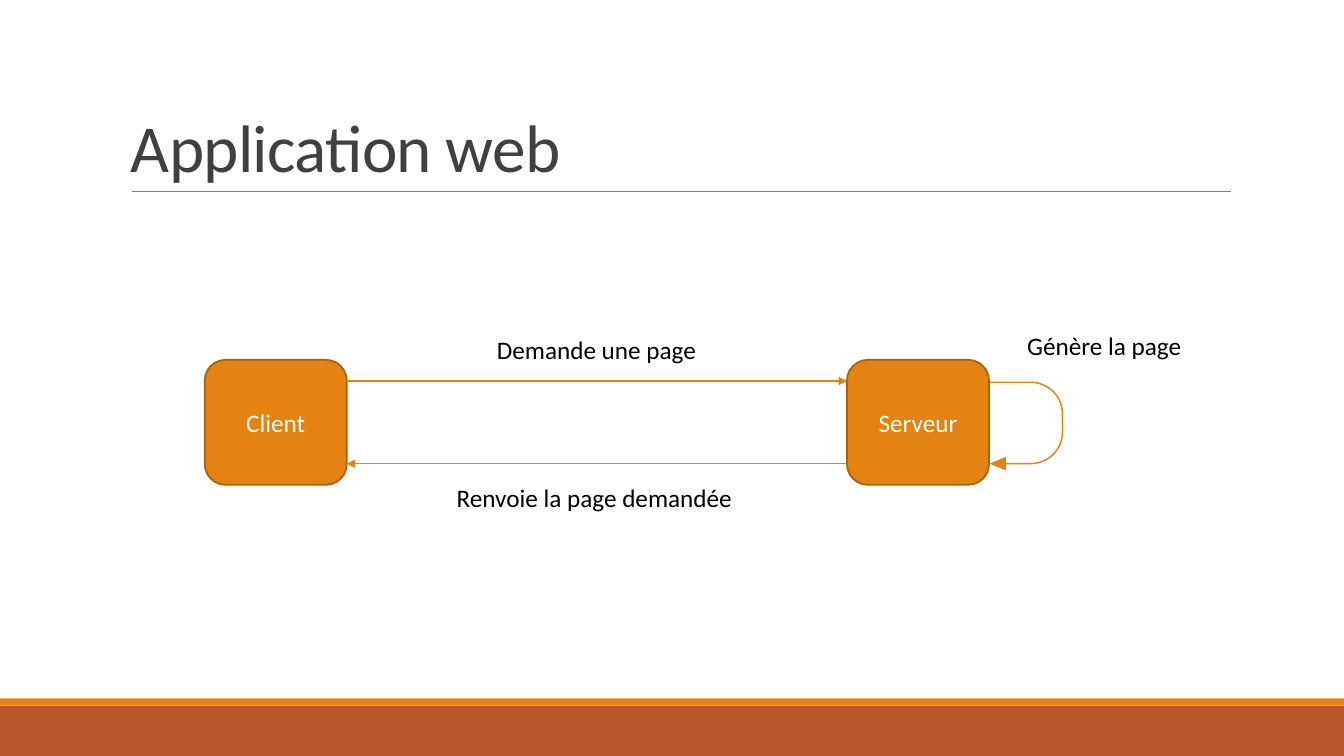
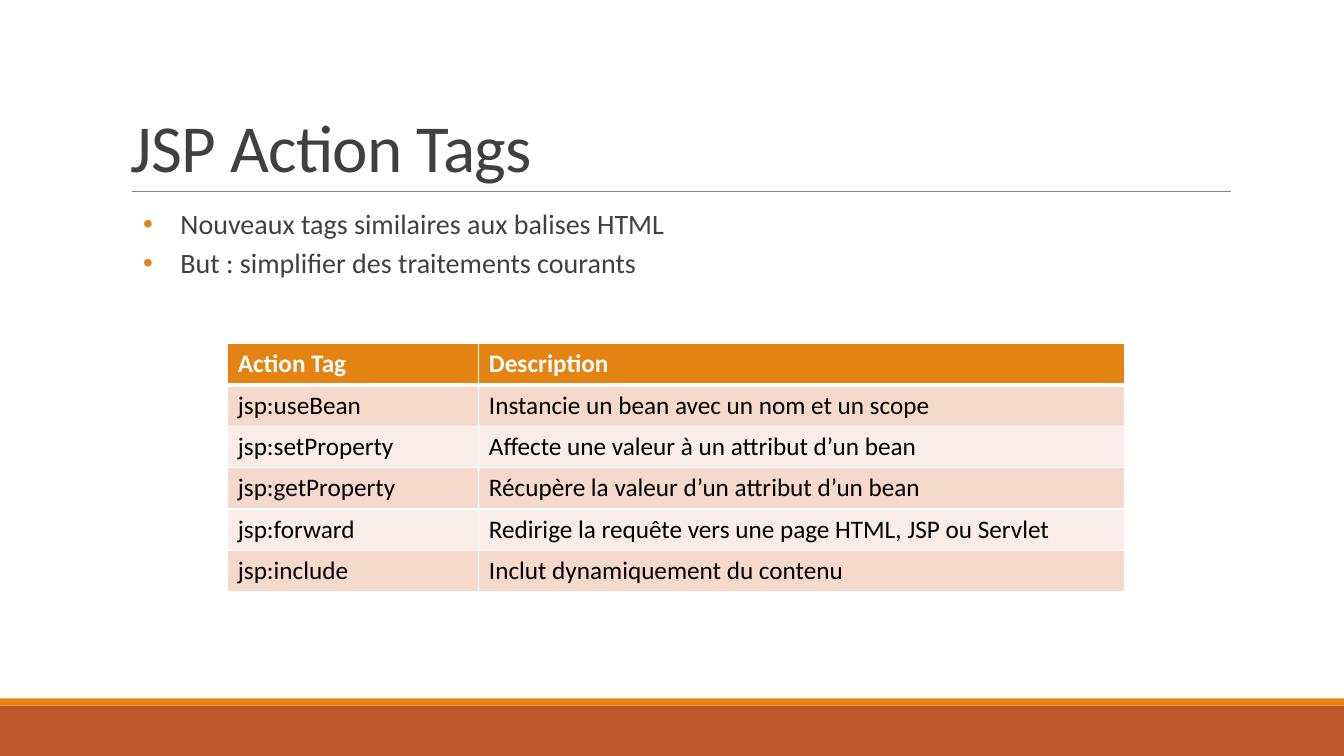
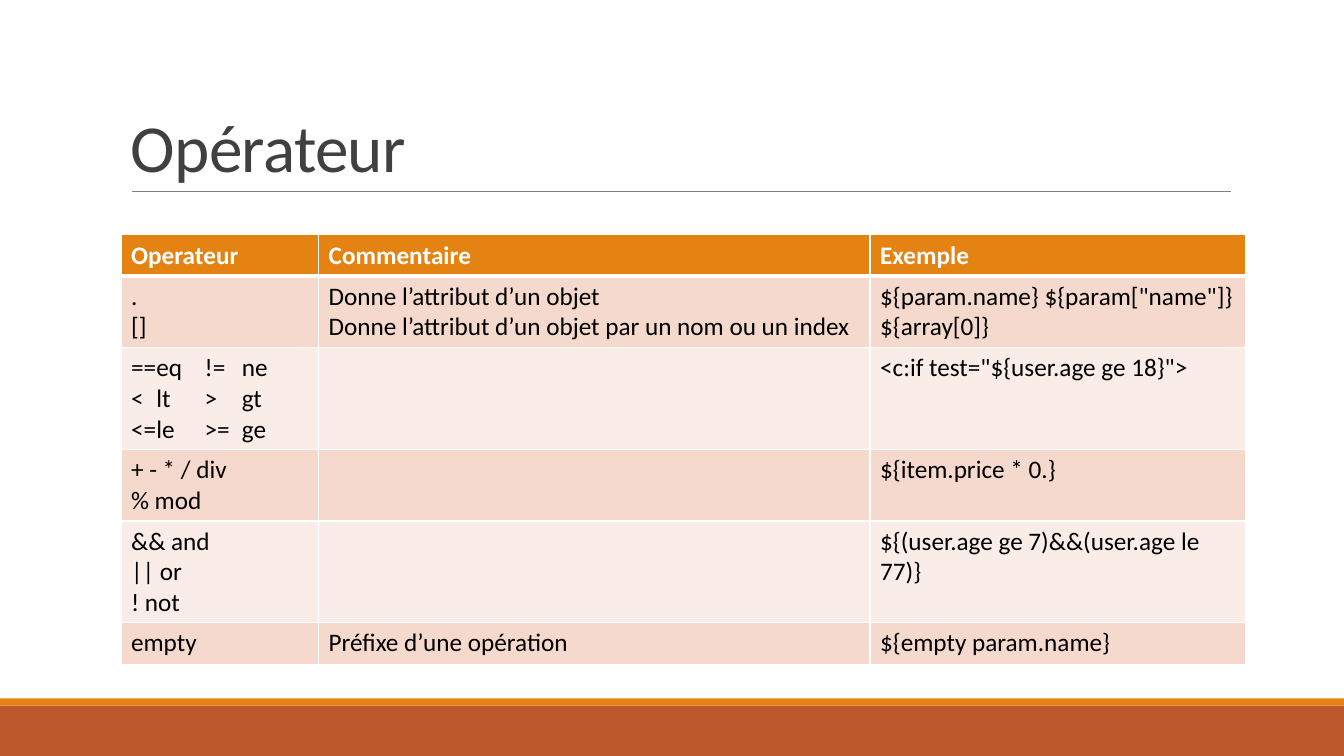
from dataclasses import dataclass

from lxml.etree import SubElement
from pptx import Presentation
from pptx.dml.color import RGBColor
from pptx.enum.shapes import MSO_CONNECTOR as Connector, MSO_SHAPE as Shape
from pptx.enum.text import MSO_ANCHOR as Anchor, PP_ALIGN as Align
from pptx.oxml.ns import qn
from pptx.util import Inches, Pt


@dataclass(frozen=True)
class Theme:
    """Colours, type sizes and font of the presentation."""
    font: str = "Calibri"
    orange: str = "E48312"
    orange_edge: str = "A9610D"
    rust: str = "BD582C"
    rule: str = "808080"
    grey: str = "404040"
    black: str = "000000"
    white: str = "FFFFFF"
    stripes: tuple = ("F5D9CC", "FAEDE7")
    title_size: int = 48
    body_size: int = 20
    label_size: int = 18


THEME = Theme()
SLIDE_WIDTH, SLIDE_HEIGHT = 13.33, 7.5

ACTION_TAGS = [
    ["Action Tag", "Description"],
    ["jsp:useBean", "Instancie un bean avec un nom et un scope"],
    ["jsp:setProperty", "Affecte une valeur à un attribut d’un bean"],
    ["jsp:getProperty", "Récupère la valeur d’un attribut d’un bean"],
    ["jsp:forward", "Redirige la requête vers une page HTML, JSP ou Servlet"],
    ["jsp:include", "Inclut dynamiquement du contenu"],
]

OPERATORS = [
    ["Operateur", "Commentaire", "Exemple"],
    [".\n[]",
     "Donne l’attribut d’un objet\nDonne l’attribut d’un objet par un nom ou un index",
     '${param.name} ${param["name"]} ${array[0]}'],
    ["==\teq\t!=\tne\n<\tlt\t>\tgt\n<=\tle\t>=\tge", "",
     '<c:if test="${user.age ge 18}">'],
    ["+ - * / div\n% mod", "", "${item.price * 0.}"],
    ["&& and\n|| or\n! not", "", "${(user.age ge 7)&&(user.age le 77)}"],
    ["empty", "Préfixe d’une opération", "${empty param.name}"],
]


def rgb(colour):
    """Turn a hex string into a colour."""
    return RGBColor.from_string(colour)


def add_bullet(paragraph, left, hang):
    """Give a paragraph an orange hanging bullet."""
    props = paragraph._p.get_or_add_pPr()
    props.set("marL", str(Inches(left)))
    props.set("indent", str(-Inches(hang)))
    colour = SubElement(props, qn("a:buClr"))
    SubElement(colour, qn("a:srgbClr"), val=THEME.orange)
    SubElement(props, qn("a:buFont"), typeface="Arial")
    SubElement(props, qn("a:buChar"), char="•")


def add_tabs(paragraph, stops):
    """Set the left tab stops of a paragraph."""
    tabs = SubElement(paragraph._p.get_or_add_pPr(), qn("a:tabLst"))
    for stop in stops:
        SubElement(tabs, qn("a:tab"), pos=str(Inches(stop)), algn="l")


def write(frame, text, *, size=THEME.label_size, colour=THEME.black, bold=False,
          align=Align.LEFT, leading=None, before=0, after=0, tracking=None,
          bullet=None, tabs=()):
    """Write the lines of a text as formatted paragraphs."""
    for index, line in enumerate(text.split("\n")):
        paragraph = frame.add_paragraph() if index else frame.paragraphs[0]
        if bullet:
            add_bullet(paragraph, *bullet)
        if "\t" in line:
            add_tabs(paragraph, tabs)
        paragraph.alignment = align
        if leading:
            paragraph.line_spacing = leading
        if before and index:
            paragraph.space_before = Pt(before)
        if after:
            paragraph.space_after = Pt(after)
        run = paragraph.add_run()
        run.text = line
        run.font.name = THEME.font
        run.font.size = Pt(size)
        run.font.bold = bold
        run.font.color.rgb = rgb(colour)
        if tracking:
            run._r.get_or_add_rPr().set("spc", str(int(tracking * 100)))


def add_text(slide, box, text, *, wrap=True, anchor=Anchor.TOP, inset=0.1, **style):
    """Add a text box."""
    frame = slide.shapes.add_textbox(*map(Inches, box)).text_frame
    frame.word_wrap = wrap
    frame.vertical_anchor = anchor
    frame.margin_left = frame.margin_right = Inches(inset)
    write(frame, text, **style)


def add_block(slide, kind, box, fill, edge=None):
    """Add a filled preset shape with an optional edge."""
    block = slide.shapes.add_shape(kind, *map(Inches, box))
    block.shadow.inherit = False
    block.fill.solid()
    block.fill.fore_color.rgb = rgb(fill)
    if edge:
        block.line.color.rgb = rgb(edge)
        block.line.width = Pt(1.25)
    else:
        block.line.fill.background()
    return block


def add_line(slide, start, end, colour, width, arrow=False):
    """Add a straight line, with an arrowhead at its end if asked."""
    line = slide.shapes.add_connector(
        Connector.STRAIGHT, *map(Inches, (*start, *end)))
    line.line.color.rgb = rgb(colour)
    line.line.width = Pt(width)
    if arrow:
        SubElement(line.line._get_or_add_ln(), qn("a:tailEnd"), type="triangle")
    SubElement(line._element.spPr, qn("a:effectLst"))


def add_titled_slide(deck, title):
    """Add a slide with the shared bands, rule and title."""
    slide = deck.slides.add_slide(deck.slide_layouts[6])
    add_block(slide, Shape.RECTANGLE, (0, 7, SLIDE_WIDTH, 0.5), THEME.rust)
    add_block(slide, Shape.RECTANGLE, (0, 6.93, SLIDE_WIDTH, 0.07), THEME.orange)
    add_line(slide, (1.31, 1.9), (12.21, 1.9), THEME.rule, 0.5)
    add_text(slide, (1.2, 0.31, 11, 1.59), title, anchor=Anchor.BOTTOM,
             size=THEME.title_size, colour=THEME.grey, leading=0.85, tracking=-0.5)
    return slide


def set_borders(cell, row):
    """Draw white cell borders, thick below the header row."""
    props = cell._tc.get_or_add_tcPr()
    widths = {"L": 1, "R": 1, "T": 3 if row == 1 else 1, "B": 3 if row == 0 else 1}
    for side, width in widths.items():
        edge = SubElement(props, qn(f"a:ln{side}"), w=str(Pt(width)))
        SubElement(SubElement(edge, qn("a:solidFill")), qn("a:srgbClr"),
                   val=THEME.white)


def add_striped_table(slide, left, top, widths, rows,
                      header_anchor=Anchor.TOP, tabs=()):
    """Add a table with an orange header, its rows as high as their text."""
    heights = [0.11 + 0.3 * max(text.count("\n") + 1 for text in row) for row in rows]
    box = (left, top, sum(widths), sum(heights))
    table = slide.shapes.add_table(
        len(rows), len(widths), *map(Inches, box)).table
    for column, width in zip(table.columns, widths):
        column.width = Inches(width)
    for r, (row, height) in enumerate(zip(rows, heights)):
        table.rows[r].height = Inches(height)
        header = r == 0
        for c, text in enumerate(row):
            cell = table.cell(r, c)
            set_borders(cell, r)
            cell.fill.solid()
            cell.fill.fore_color.rgb = rgb(
                THEME.orange if header else THEME.stripes[(r - 1) % 2])
            cell.vertical_anchor = header_anchor if header else Anchor.TOP
            if text:
                write(cell.text_frame, text, bold=header, tabs=tabs,
                      colour=THEME.white if header else THEME.black)


def add_exchange(slide, left, top, width, height):
    """Draw the exchange between client and server inside a box."""
    node_width = 1.41
    server_left = left + width - node_width
    client_right, right = left + node_width, left + width
    for name, x in (("Client", left), ("Serveur", server_left)):
        node = add_block(slide, Shape.ROUNDED_RECTANGLE, (x, top, node_width, height),
                         THEME.orange, THEME.orange_edge)
        node.text_frame.vertical_anchor = Anchor.MIDDLE
        write(node.text_frame, name, colour=THEME.white, align=Align.CENTER)

    request, reply = top + 0.21, top + height - 0.21
    add_line(slide, (client_right, request), (server_left, request),
             THEME.orange, 1, arrow=True)
    add_line(slide, (server_left, reply), (client_right, reply),
             THEME.orange, 1, arrow=True)

    loop = add_block(slide, Shape.U_TURN_ARROW,
                     (right - 0.07, top + 0.29, 0.88, 0.73), THEME.orange)
    loop.rotation = 90
    for index, value in enumerate((0.02, 0.09, 0.22, 0.44, 1)):
        loop.adjustments[index] = value

    for text, x, y, label_width in (
            ("Demande une page", 2.8, -0.3, 2.19),
            ("Génère la page", 8.06, -0.34, 1.76),
            ("Renvoie la page demandée", 2.4, 1.17, 2.98)):
        add_text(slide, (left + x, top + y, label_width, 0.4), text, wrap=False)


def build_web_application(deck):
    """Build the slide on the web application."""
    slide = add_titled_slide(deck, "Application web")
    add_exchange(slide, 2.03, 3.57, 7.78, 1.24)


def build_action_tags(deck):
    """Build the slide on the JSP action tags."""
    slide = add_titled_slide(deck, "JSP Action Tags")
    add_text(slide, (1.2, 2.04, 11, 1),
             "Nouveaux tags similaires aux balises HTML\n"
             "But : simplifier des traitements courants",
             inset=0, size=THEME.body_size, colour=THEME.grey, leading=0.9,
             before=2, after=4, bullet=(0.59, 0.37))
    add_striped_table(slide, 2.26, 3.41, (2.49, 6.4), ACTION_TAGS)


def build_operators(deck):
    """Build the slide on the operators."""
    slide = add_titled_slide(deck, "Opérateur")
    add_striped_table(slide, 1.2, 2.33, (1.96, 5.47, 3.72), OPERATORS,
                      header_anchor=Anchor.MIDDLE, tabs=(0.25, 0.73, 1.1))


def main():
    """Build and save the presentation."""
    deck = Presentation()
    deck.slide_width = Inches(SLIDE_WIDTH)
    deck.slide_height = Inches(SLIDE_HEIGHT)
    build_web_application(deck)
    build_action_tags(deck)
    build_operators(deck)
    deck.save("out.pptx")


if __name__ == "__main__":
    main()
